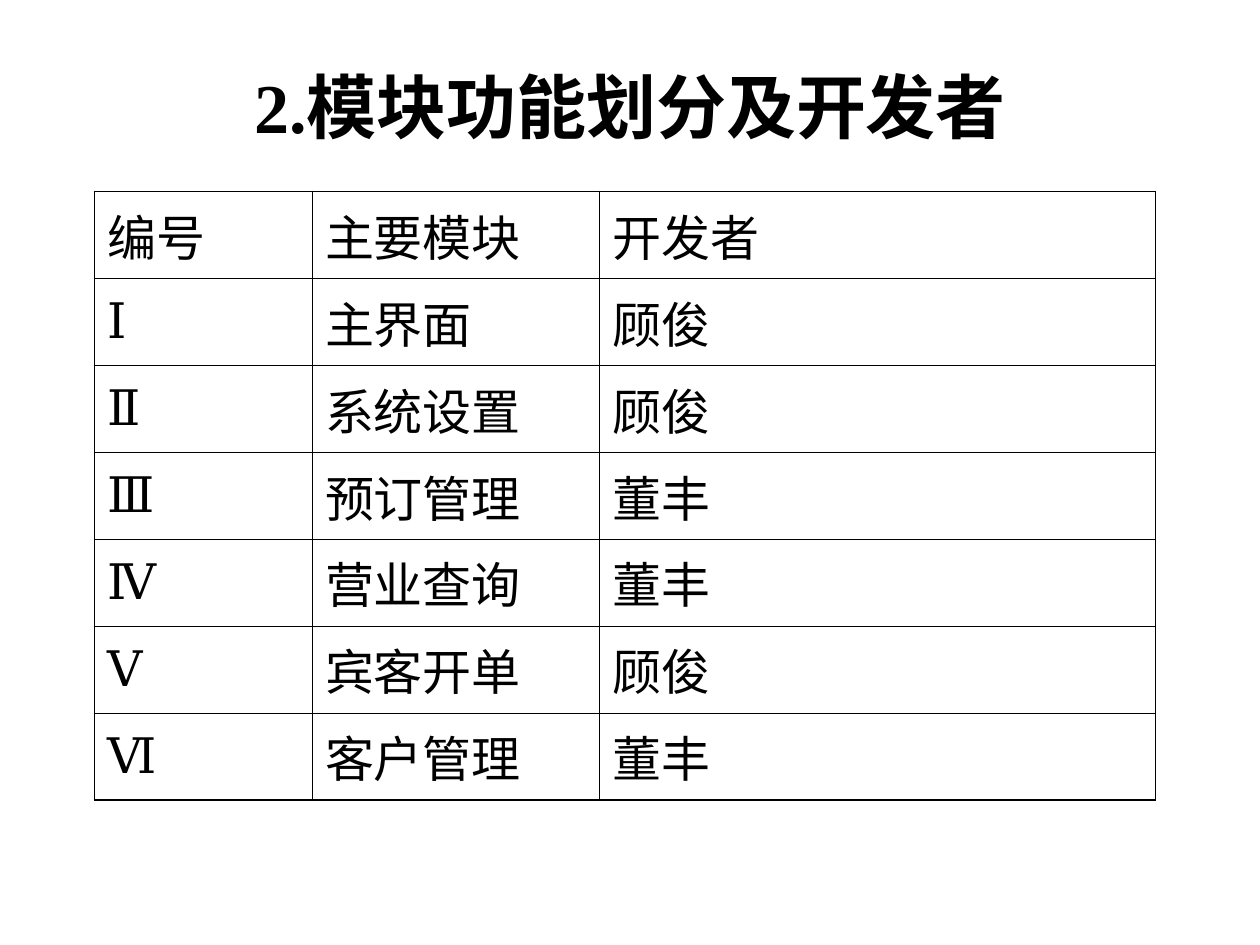
"""Build the slide that lists the system's modules and their developers."""
from lxml.etree import SubElement
from pptx import Presentation
from pptx.dml.color import RGBColor
from pptx.enum.text import MSO_ANCHOR as Anchor, MSO_AUTO_SIZE as AutoSize, PP_ALIGN as Align
from pptx.oxml.ns import qn
from pptx.util import Inches, Pt

COLORS = {"ink": "000000", "paper": "FFFFFF"}
FONT = "Times New Roman"
OUTER, INNER = 1.08, 0.45


def write(frame, text, size, bold=False, align=Align.LEFT, before=0):
    paragraph = frame.paragraphs[0]
    paragraph.alignment = align
    paragraph.space_before = Pt(before)
    run = paragraph.add_run()
    run.text = text
    run.font.size = Pt(size)
    run.font.bold = bold
    run.font.name = FONT
    run.font.color.rgb = RGBColor.from_string(COLORS["ink"])


def add_border(cell, side, width):
    line = SubElement(cell._tc.get_or_add_tcPr(), qn(f"a:ln{side}"), w=str(Pt(width)))
    fill = SubElement(line, qn("a:solidFill"))
    SubElement(fill, qn("a:srgbClr"), val=COLORS["ink"])


modules = [
    ("编号", "主要模块", "开发者"),
    ("Ⅰ", "主界面", "顾俊"),
    ("Ⅱ", "系统设置", "顾俊"),
    ("Ⅲ", "预订管理", "董丰"),
    ("Ⅳ", "营业查询", "董丰"),
    ("Ⅴ", "宾客开单", "顾俊"),
    ("Ⅵ", "客户管理", "董丰"),
]
column_widths = [1.73, 2.28, 4.41]
row_height = 0.69
last_row, last_column = len(modules) - 1, len(column_widths) - 1

deck = Presentation()
deck.slide_width, deck.slide_height = Inches(10), Inches(7.5)
slide = deck.slides.add_slide(deck.slide_layouts[5])
slide.background.fill.solid()
slide.background.fill.fore_color.rgb = RGBColor.from_string(COLORS["paper"])

heading = slide.shapes.title
heading.left, heading.top = Inches(0.75), Inches(0.67)
heading.width, heading.height = Inches(8.5), Inches(0.33)
heading.text_frame.auto_size = AutoSize.NONE
heading.text_frame.vertical_anchor = Anchor.MIDDLE
write(heading.text_frame, "2.模块功能划分及开发者", size=40, bold=True, align=Align.CENTER)

module_table = slide.shapes.add_table(
    len(modules), len(column_widths), Inches(0.75), Inches(1.52),
    Inches(sum(column_widths)), Inches(row_height * len(modules)),
).table
module_table.first_row = module_table.horz_banding = False
for column, width in zip(module_table.columns, column_widths):
    column.width = Inches(width)

for r, entries in enumerate(modules):
    module_table.rows[r].height = Inches(row_height)
    for c, entry in enumerate(entries):
        cell = module_table.cell(r, c)
        cell.vertical_anchor = Anchor.MIDDLE
        write(cell.text_frame, entry, size=28, before=7)
        on_edge = {"L": c == 0, "R": c == last_column, "T": r == 0, "B": r == last_row}
        for side, outer in on_edge.items():
            add_border(cell, side, OUTER if outer else INNER)
        cell.fill.background()

deck.save("out.pptx")
